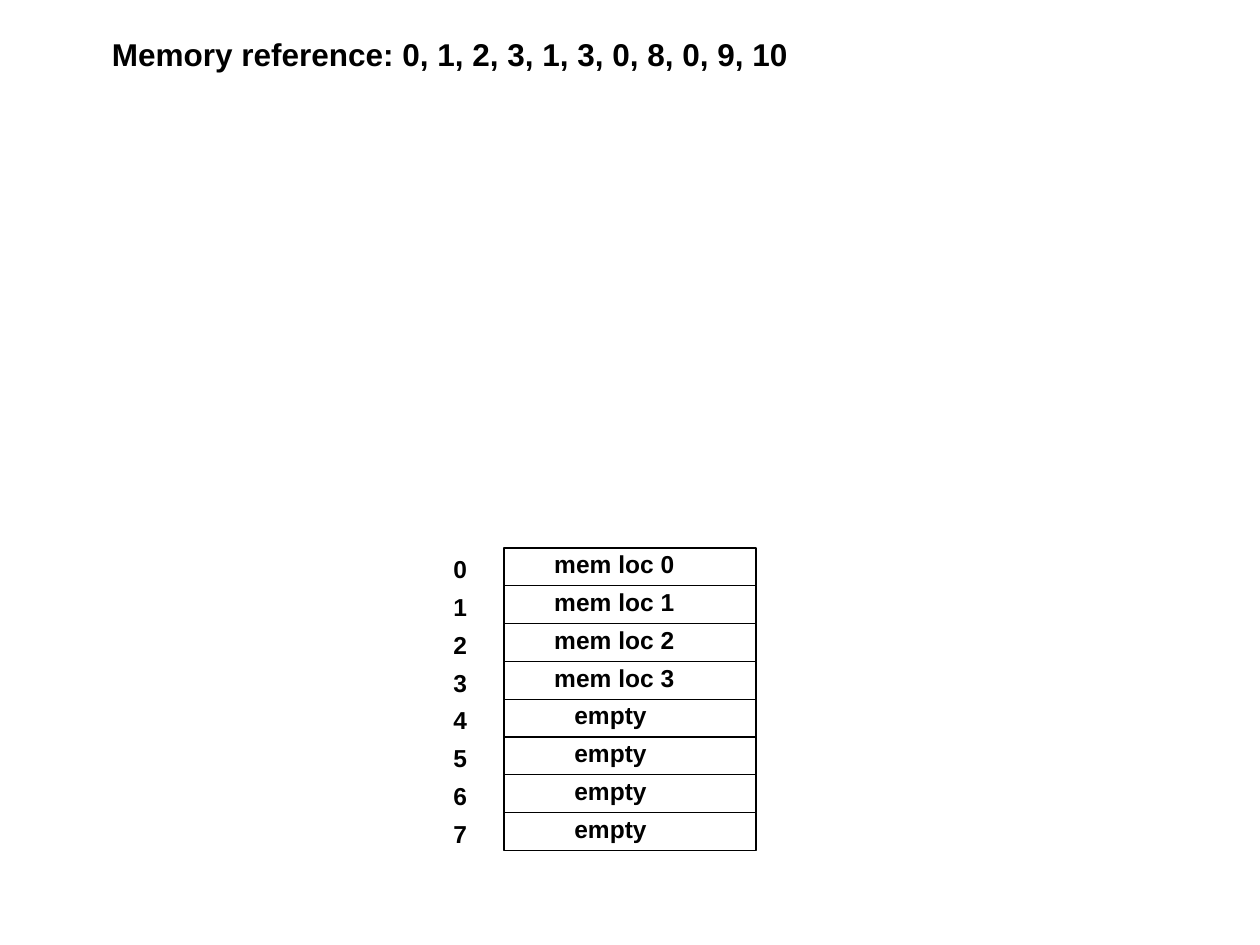
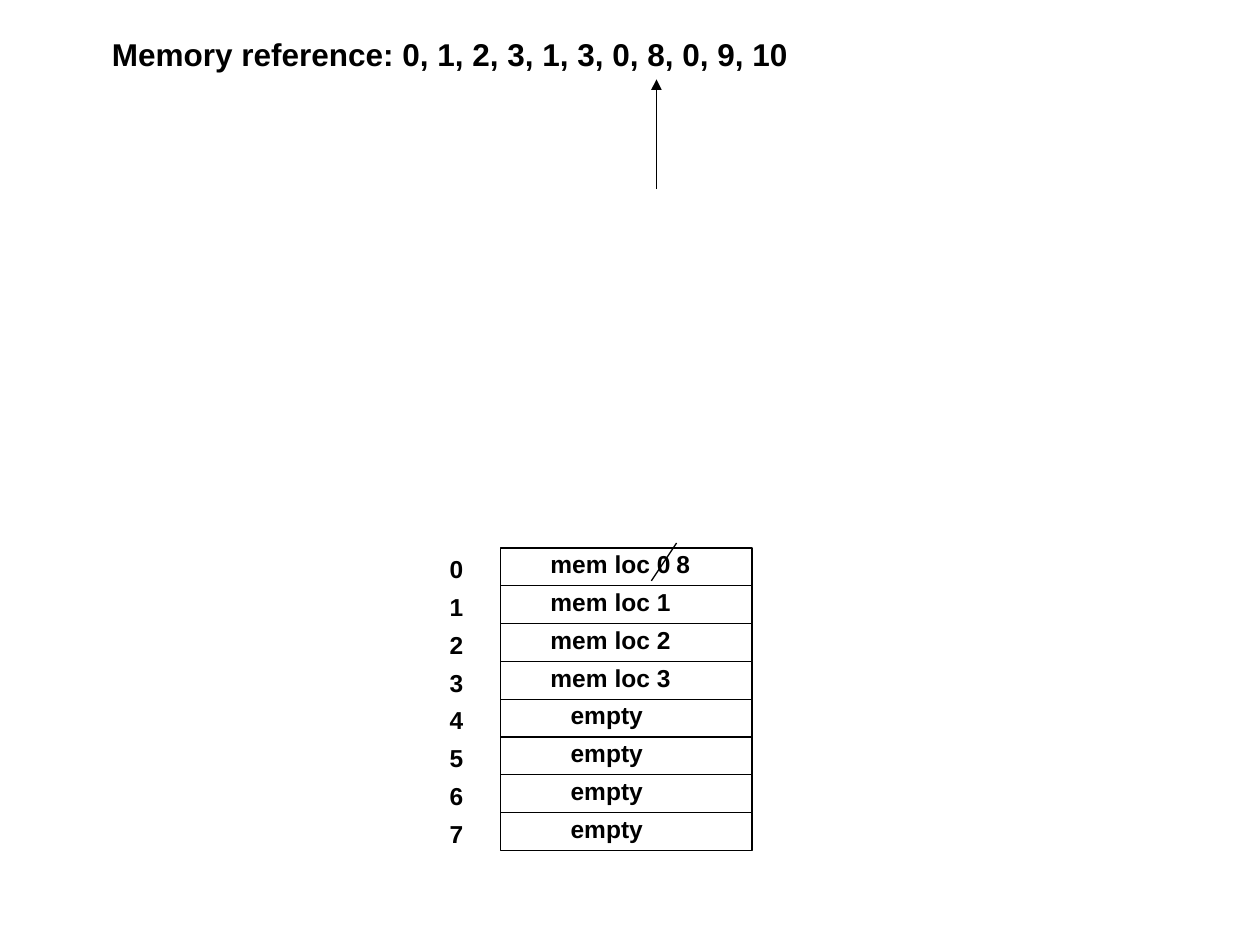
import pptx
import pptx.dml.color
import pptx.enum.shapes
import pptx.util
from pptx.oxml.ns import qn
from lxml import etree

PX = 9144
BLACK = "000000"
FONT = "Arial"
TITLE = "Memory reference: 0, 1, 2, 3, 1, 3, 0, 8, 0, 9, 10"
EMPTY = "empty"
LOADED = ["mem loc 1", "mem loc 2", "mem loc 3"] + [EMPTY] * 4

SLIDES = [
    {"left": 400, "cells": ["mem loc 0"] + LOADED, "lines": []},
    {"left": 397, "cells": ["mem loc 0\t8"] + LOADED,
     "lines": [((517, 461), (537, 431), False), ((521, 150), (521, 63), True)]},
]

TABLE_TOP, CELL_W, CELL_H = 435, 200, 30
NUMBER_DX, TEXT_DX, TEXT_DY = -50, 30, -4
EMPTY_INDENT, REPLACEMENT_TAB = 16, 106


def px(n):
    return pptx.util.Emu(n * PX)


def color(hex_value):
    return pptx.dml.color.RGBColor.from_string(hex_value)


def set_line(line):
    line.color.rgb = color(BLACK)
    line.width = pptx.util.Pt(0.75)


def add_text(s, x, y, w, h, text, size, indent=0, tab=None):
    sp = s.shapes.add_textbox(px(x), px(y), px(w), px(h))
    tf = sp.text_frame
    tf.word_wrap = True
    tf.margin_left = tf.margin_right = px(10)
    tf.margin_top = tf.margin_bottom = px(5)
    p = tf.paragraphs[0]
    pPr = p._p.get_or_add_pPr()
    pPr.set("marL", str(px(indent)))
    pPr.set("indent", "0")
    if tab:
        tabs = etree.SubElement(pPr, qn("a:tabLst"))
        etree.SubElement(tabs, qn("a:tab"), pos=str(px(tab)), algn="l")
    r = p.add_run()
    r.text = text
    r.font.name = FONT
    r.font.size = pptx.util.Pt(size)
    r.font.bold = True
    r.font.color.rgb = color(BLACK)


def add_line(s, start, end, arrow):
    cx = s.shapes.add_connector(pptx.enum.shapes.MSO_CONNECTOR.STRAIGHT,
                                *map(px, start + end))
    set_line(cx.line)
    if arrow:
        etree.SubElement(cx.line._get_or_add_ln(), qn("a:tailEnd"), type="triangle")
    etree.SubElement(cx._element.spPr, qn("a:effectLst"))


def add_cache(s, left, cells):
    for i, text in enumerate(cells):
        y = TABLE_TOP + i * CELL_H
        sp = s.shapes.add_shape(pptx.enum.shapes.MSO_SHAPE.RECTANGLE,
                                px(left), px(y), px(CELL_W), px(CELL_H))
        sp.shadow.inherit = False
        sp.fill.background()
        set_line(sp.line)
        add_text(s, left + NUMBER_DX, y, 31, 34, str(i), 14)
        add_text(s, left + TEXT_DX, y + TEXT_DY, 148, 34, text, 14,
                 EMPTY_INDENT if text == EMPTY else 0,
                 REPLACEMENT_TAB if "\t" in text else None)


def main():
    prs = pptx.Presentation()
    prs.slide_width, prs.slide_height = px(1000), px(750)
    for content in SLIDES:
        s = prs.slides.add_slide(prs.slide_layouts[6])
        add_cache(s, content["left"], content["cells"])
        add_text(s, 79, 23, 570, 40, TITLE, 18)
        for start, end, arrow in content["lines"]:
            add_line(s, start, end, arrow)
    prs.save("out.pptx")


if __name__ == "__main__":
    main()
